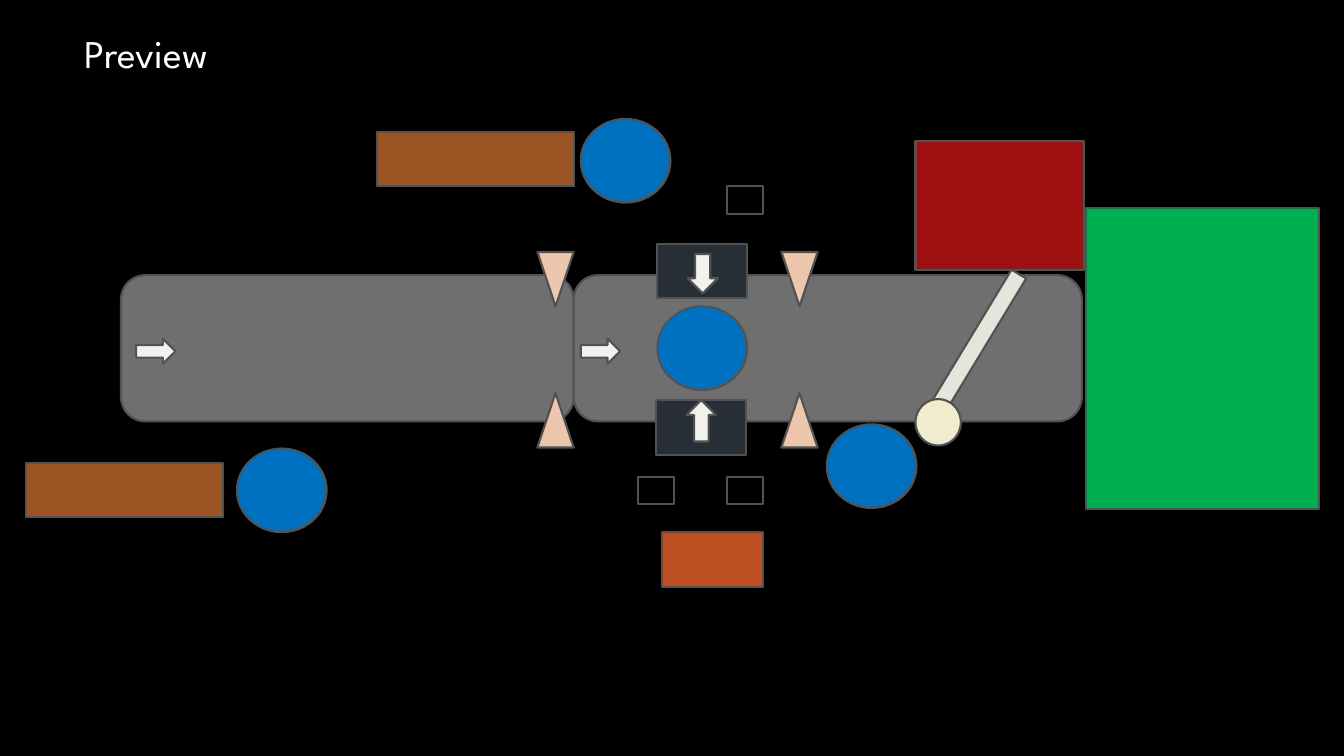
from pptx import Presentation
from pptx.dml.color import RGBColor
from pptx.enum.shapes import MSO_SHAPE as Preset
from pptx.enum.text import MSO_ANCHOR as Anchor, MSO_AUTO_SIZE as AutoSize, PP_ALIGN as Align
from pptx.util import Inches, Pt

COLORS = {
    "background": "000000", "outline": "525252", "title": "FFFFFF",
    "conveyor": "6F6F6F", "sensor": "ECC6AD", "bench": "9D5425",
    "arrow": "F2F2ED", "press": "282E35", "box": "000000",
    "worker": "0070C0", "paddle": "E5E5DB", "green zone": "00B050",
    "red zone": "A01010", "pivot": "F1ECCE", "tray": "BC4E22",
}


def color(name):
    return RGBColor.from_string(COLORS[name])


def add_part(name, preset, left, top, width, height, rotation=0):
    part = slide.shapes.add_shape(
        preset, Inches(left), Inches(top), Inches(width), Inches(height))
    part.rotation = rotation
    part.shadow.inherit = False
    part.fill.solid()
    part.fill.fore_color.rgb = color(name)
    part.line.color.rgb = color("outline")
    part.line.width = Pt(1.5)


prs = Presentation()
prs.slide_width, prs.slide_height = Inches(13.33), Inches(7.5)
slide = prs.slides.add_slide(prs.slide_layouts[5])
slide.background.fill.solid()
slide.background.fill.fore_color.rgb = color("background")

title = slide.shapes.title
title_place = {"left": 0.74, "top": 0.24, "width": 3.43, "height": 0.57}
for side, length in title_place.items():
    setattr(title, side, Inches(length))
title.text_frame.text = "Preview"
title_frame = {"word_wrap": True, "auto_size": AutoSize.NONE, "vertical_anchor": Anchor.TOP}
for key, value in title_frame.items():
    setattr(title.text_frame, key, value)
heading = title.text_frame.paragraphs[0]
heading.alignment = Align.LEFT
title_font = {"name": "League Spartan", "size": Pt(28), "bold": False}
for key, value in title_font.items():
    setattr(heading.runs[0].font, key, value)
heading.runs[0].font.color.rgb = color("title")

for left, width in [(1.2, 4.49), (5.69, 5.04)]:
    add_part("conveyor", Preset.ROUNDED_RECTANGLE, left, 2.73, width, 1.45)

for left in (5.33, 7.75):
    for top, rotation in [(3.9, 0), (2.5, 180)]:
        add_part("sensor", Preset.ISOSCELES_TRIANGLE, left, top, 0.36, 0.54, rotation)

for left, top in [(3.74, 1.31), (0.26, 4.59)]:
    add_part("bench", Preset.RECTANGLE, left, top, 1.95, 0.54)

for left, top in [(6.52, 2.42), (6.51, 3.97)]:
    add_part("press", Preset.RECTANGLE, left, top, 0.89, 0.54)

for left, top, width, height, rotation in [
    (1.42, 3.29, 0.25, 0.39, 270),
    (5.83, 3.29, 0.25, 0.39, 270),
    (6.82, 2.52, 0.3, 0.39, 0),
    (6.81, 3.97, 0.29, 0.41, 180),
]:
    add_part("arrow", Preset.DOWN_ARROW, left, top, width, height, rotation)

for left, top in [(7.21, 4.73), (7.21, 1.85), (6.33, 4.73)]:
    add_part("box", Preset.RECTANGLE, left, top, 0.36, 0.27)

for left, top in [(2.35, 4.45), (6.52, 3.04), (5.76, 1.18), (8.2, 4.21)]:
    add_part("worker", Preset.OVAL, left, top, 0.89, 0.83)

add_part("paddle", Preset.RECTANGLE, 9.59, 2.6, 0.17, 1.66, 31.2)
add_part("green zone", Preset.RECTANGLE, 10.77, 2.06, 2.31, 2.99)
add_part("red zone", Preset.RECTANGLE, 9.08, 1.4, 1.67, 1.28)
add_part("pivot", Preset.OVAL, 9.08, 3.96, 0.45, 0.46)
add_part("tray", Preset.RECTANGLE, 6.57, 5.28, 1, 0.54)

prs.save("out.pptx")
